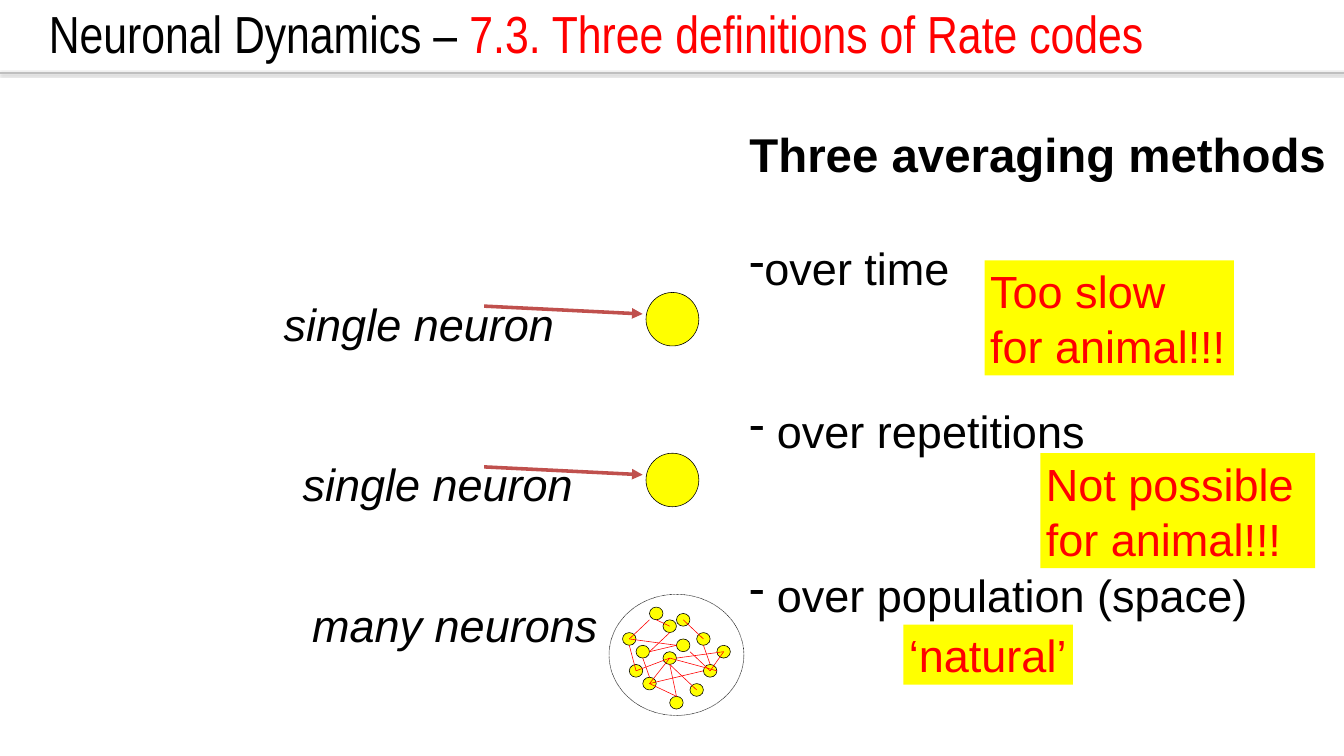
from lxml import etree
from pptx import Presentation
from pptx.dml.color import RGBColor
from pptx.enum.dml import MSO_LINE
from pptx.enum.shapes import MSO_CONNECTOR, MSO_SHAPE
from pptx.enum.text import MSO_ANCHOR
from pptx.oxml.ns import qn
from pptx.util import Cm, Pt

STRAIGHT = MSO_CONNECTOR.STRAIGHT
OVAL = MSO_SHAPE.OVAL
TOP = MSO_ANCHOR.TOP
DOTTED = MSO_LINE.ROUND_DOT

BLACK = RGBColor(0x00, 0x00, 0x00)
RED = RGBColor(0xFF, 0x00, 0x00)
YELLOW = RGBColor(0xFF, 0xFF, 0x00)
GREY = RGBColor(0xBF, 0xBF, 0xBF)
BRICK = RGBColor(0xC0, 0x50, 0x4D)

LINE_FACTOR = 1.21
BODY_SIZE = 57


def add_text(box, paragraphs, size=BODY_SIZE, font="Arial", color=BLACK,
             italic=False, fill=None):
    """Add a text box; each paragraph is a list of (text, color or None) runs."""
    sp = s.shapes.add_textbox(*[Cm(v) for v in box])
    if fill is not None:
        sp.fill.solid()
        sp.fill.fore_color.rgb = fill
    tf = sp.text_frame
    tf.word_wrap = True
    tf.vertical_anchor = TOP
    for i, runs in enumerate(paragraphs):
        p = tf.paragraphs[0] if i == 0 else tf.add_paragraph()
        p.line_spacing = Pt(round(size * LINE_FACTOR))
        for text, run_color in runs:
            r = p.add_run()
            r.text = text
            r.font.name = font
            r.font.size = Pt(size)
            r.font.italic = italic
            r.font.color.rgb = run_color or color
    return tf


def add_line(shapes, x1, y1, x2, y2, color, width):
    """Add a straight line and return it with its empty effect list."""
    line = shapes.add_connector(STRAIGHT, Cm(x1), Cm(y1), Cm(x2), Cm(y2))
    line.line.color.rgb = color
    line.line.width = Pt(width)
    effects = etree.SubElement(line._element.spPr, qn("a:effectLst"))
    return line, effects


prs = Presentation()
prs.slide_width, prs.slide_height = Cm(60.02), Cm(33.76)
s = prs.slides.add_slide(prs.slide_layouts[6])

# Title and the rule below it
add_text((1.93, -0.1, 57.94, 4.09),
         [[("Neuronal Dynamics – ", None),
           ("7.3. Three definitions of Rate codes", RED)]],
         size=66, font="Arial Narrow")

# Averaging methods
methods = ["over time", " over repetitions", " over population (space)"]
tf = add_text((33.22, 5.44, 26.52, 22.45),
              [[(text, None)] for text in ["Three averaging methods"] + methods])
heading, *items = tf.paragraphs
heading.line_spacing = Pt(73)
heading.runs[0].font.size = Pt(60)
heading.runs[0].font.bold = True
for p, gap in zip(items, (73, 138, 138)):
    p.space_before = Pt(gap)
    pPr = p._p.get_or_add_pPr()
    pPr.set("marL", "0")
    pPr.set("indent", "0")
    etree.SubElement(pPr, qn("a:buChar")).set("char", "-")

_, effects = add_line(s.shapes, 0, 3.25, 60.02, 3.25, GREY, 2)
shadow = etree.SubElement(effects, qn("a:outerShdw"), blurRad=str(Pt(3.1)),
                          dist=str(Pt(1.6)), dir="5400000", rotWithShape="0")
shade = etree.SubElement(shadow, qn("a:srgbClr"), val="000000")
etree.SubElement(shade, qn("a:alpha"), val="38000")

# Verdicts on each method
verdicts = [
    ((46.46, 20.24, 12.27, 5.13), ["Not possible", "for animal!!!"]),
    ((43.97, 11.63, 11.13, 5.13), ["Too slow", "for animal!!!"]),
    ((40.34, 27.89, 7.57, 2.69), ["‘natural’"]),
]
for box, lines in verdicts:
    add_text(box, [[(text, None)] for text in lines], color=RED, fill=YELLOW)

# Labels of the neurons
for x, y, w, text in [(12.42, 13.11, 12.73, "single neuron"),
                      (13.26, 20.24, 12.73, "single neuron"),
                      (13.69, 26.54, 13.39, "many neurons")]:
    add_text((x, y, w, 2.69), [[(text, None)]], italic=True)

# Single neurons with arrows; the population lies on a 20 by 19 grid
SINGLE_TOPS = (13.06, 20.24)
POP_X, POP_Y, POP_W, POP_H = 27.2, 26.54, 6.02, 5.41
DX, DY = POP_W / 20, POP_H / 19
CELLS = [(6, 2), (8, 4), (10, 3), (9, 16), (16, 8), (13, 6), (8, 9),
         (10, 7), (12, 14), (14, 11), (3, 11), (2, 6), (5, 13), (4, 8)]
LINKS = [(9, 11, 10, 16), (12, 9, 15, 12), (6, 14, 14, 12), (9, 11, 13, 15),
         (5, 10, 6, 13), (14, 8, 15, 11), (11, 4, 14, 7), (9, 6, 6, 9),
         (6, 4, 3, 7), (3, 8, 4, 12), (6, 9, 10, 8), (17, 9, 10, 10),
         (6, 14, 10, 16), (7, 4, 9, 5), (3, 7, 10, 8), (6, 14, 9, 10),
         (4, 12, 9, 10), (17, 9, 15, 12), (9, 10, 16, 12)]

for top in SINGLE_TOPS:
    arrow, _ = add_line(s.shapes, 21.62, top + 0.61, 28.7, top + 0.96, BRICK, 4.5)
    etree.SubElement(arrow.line._get_or_add_ln(), qn("a:tailEnd"), type="triangle")

population = s.shapes.add_group_shape().shapes
ovals = [(s.shapes, 28.85, top, 2.36, 2.39, YELLOW) for top in SINGLE_TOPS]
ovals += [(population, POP_X + col * DX, POP_Y + row * DY, 2 * DX, 2 * DY, YELLOW)
          for col, row in CELLS]
ovals.append((population, POP_X, POP_Y, POP_W, POP_H, None))
for shapes, x, y, w, h, fill in ovals:
    sp = shapes.add_shape(OVAL, Cm(x), Cm(y), Cm(w), Cm(h))
    sp.shadow.inherit = False
    sp.line.color.rgb = BLACK
    sp.line.width = Pt(0.75)
    if fill is None:
        sp.fill.background()
        sp.line.dash_style = DOTTED
    else:
        sp.fill.solid()
        sp.fill.fore_color.rgb = fill

for x1, y1, x2, y2 in LINKS:
    add_line(population, POP_X + x1 * DX, POP_Y + y1 * DY,
             POP_X + x2 * DX, POP_Y + y2 * DY, RED, 0.75)

prs.save("out.pptx")
